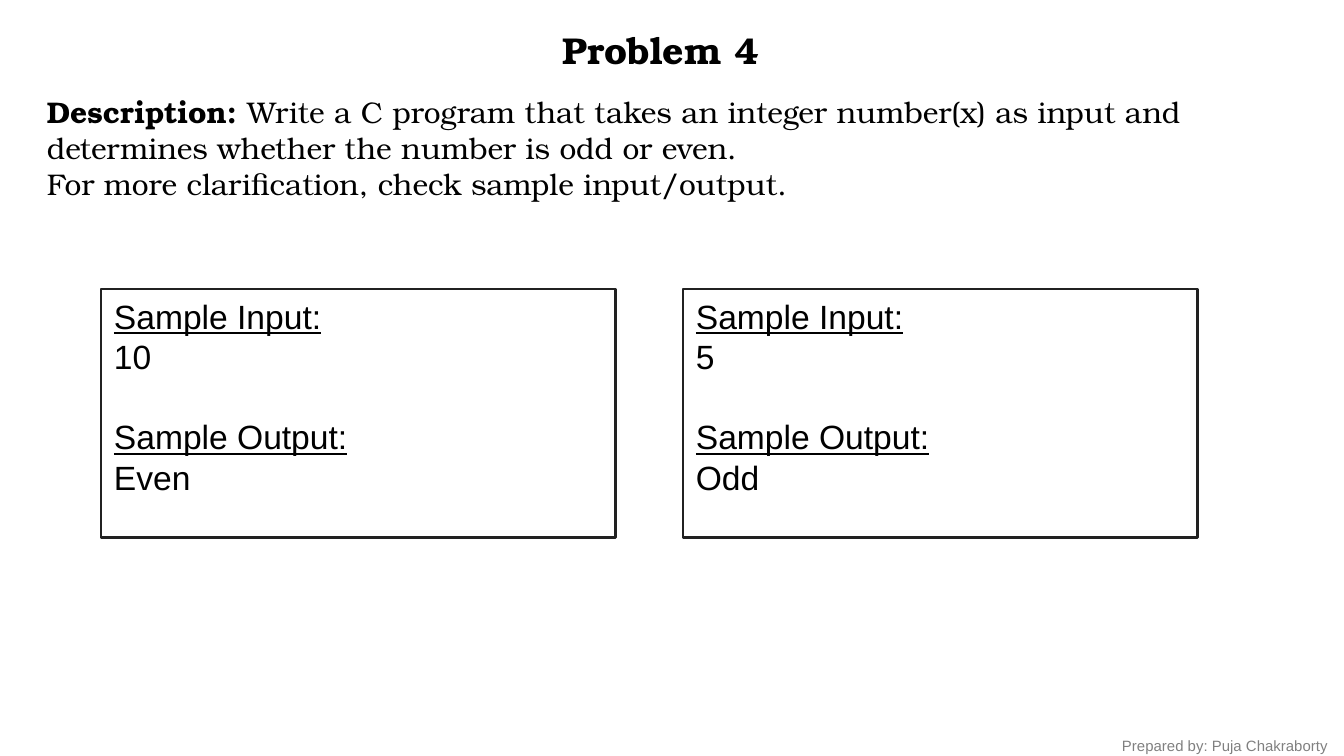
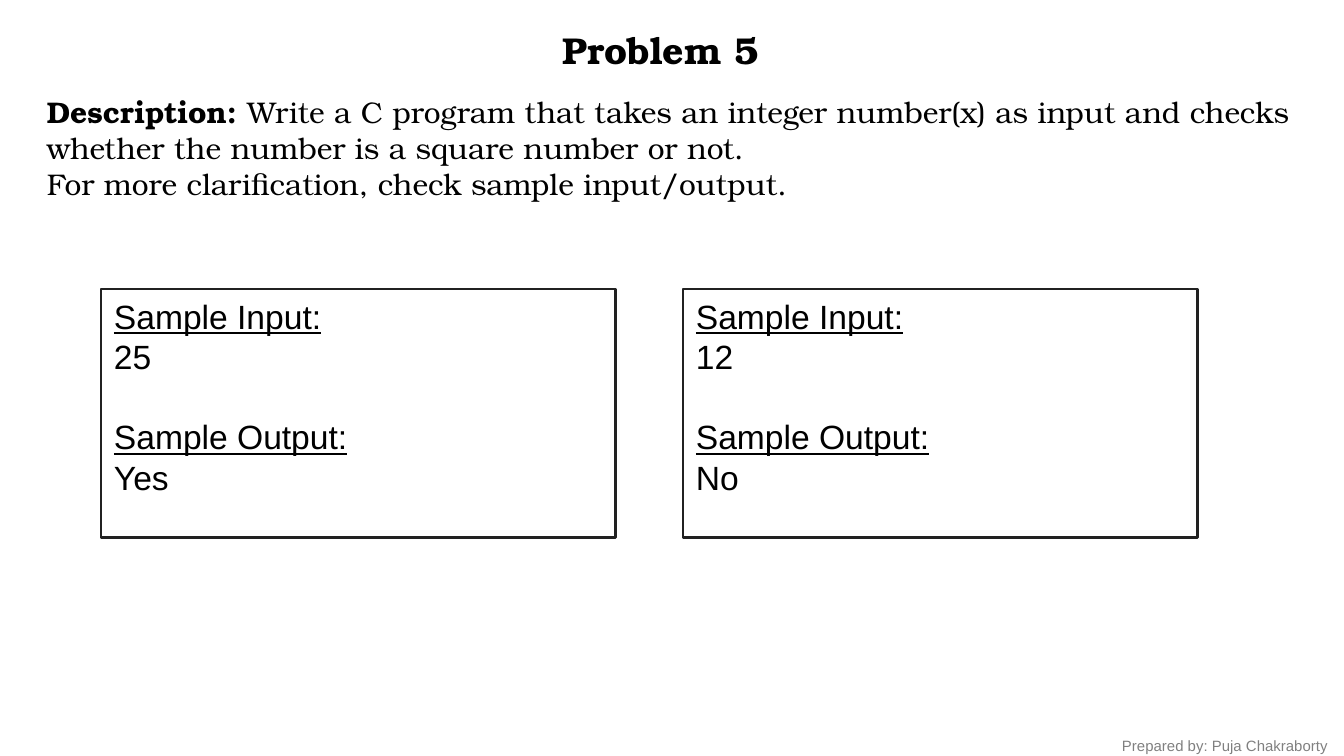
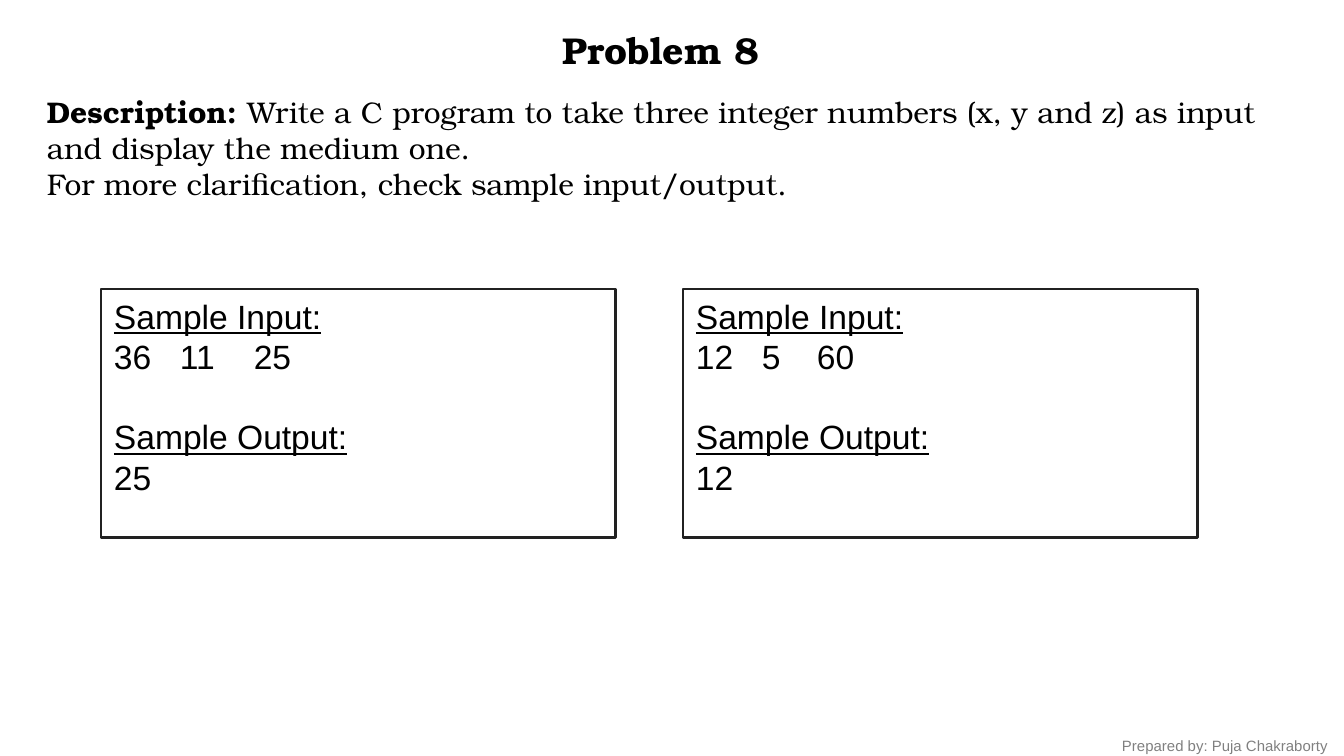
"""Build three C programming exercise slides with sample inputs and outputs."""
from lxml.etree import SubElement
from pptx import Presentation
from pptx.dml.color import RGBColor
from pptx.enum.shapes import MSO_SHAPE
from pptx.enum.text import MSO_ANCHOR, PP_ALIGN
from pptx.oxml.ns import qn
from pptx.util import Inches, Pt

PROBLEMS = [
    {"title": "Problem 4", "rows": 4,
     "task": "Write a C program that takes an integer number(x) as input and "
             "determines whether the number is odd or even.",
     "samples": [(["10"], "Even"), (["5"], "Odd")]},
    {"title": "Problem 5", "rows": 3,
     "task": "Write a C program that takes an integer number(x) as input and "
             "checks whether the number is a square number or not.",
     "samples": [(["25"], "Yes"), (["12"], "No")]},
    {"title": "Problem 8", "rows": 3,
     "task": "Write a C program to take three integer numbers (x, y and z) "
             "as input and display the medium one.",
     "samples": [(["36", "11", "25"], "25"), (["12", "5", "60"], "12")]},
]
HINT = "For more clarification, check sample input/output."
CREDIT = "Prepared by: Puja Chakraborty"

SERIF, SANS = "TeX Gyre Bonum", "Arial"
BLACK, GRAY, BORDER = "000000", "808080", "212121"
SLIDE_WIDTH = 10
SLIDE_HEIGHT = SLIDE_WIDTH * 9 / 16
TITLE_BOX = (2.17, 0.15, 5.5, 0.44)
CREDIT_BOX = (8.25, 5.43, 1.83, 0.24)
TASK_LEFT, TASK_TOP, TASK_WIDTH = 0.25, 0.65, 9.58
TASK_ROW, TASK_PADDING = 0.27, 0.1
SAMPLE_LEFT, SAMPLE_TOP, SAMPLE_WIDTH, SAMPLE_HEIGHT = 0.75, 2.15, 3.83, 1.85
SAMPLE_GAP = 0.5
SAMPLE_LINE = 21.5
NUMBER_GAPS = (0.21, 0.27)
DIGIT_WIDTH = 0.14


def color(hex_value):
    return RGBColor.from_string(hex_value)


def style(font, name, size, hex_value=BLACK, bold=False, underline=False):
    font.name, font.size = name, Pt(size)
    font.bold, font.underline = bold, underline
    font.color.rgb = color(hex_value)


def add_text_box(slide, box):
    frame = slide.shapes.add_textbox(*map(Inches, box)).text_frame
    frame.word_wrap = True
    return frame


def add_label(slide, box, text, *font_style, align=PP_ALIGN.LEFT, bold=False):
    paragraph = add_text_box(slide, box).paragraphs[0]
    paragraph.text, paragraph.alignment = text, align
    style(paragraph.font, *font_style, bold=bold)


def add_task(slide, task, rows):
    height = TASK_PADDING + rows * TASK_ROW
    frame = add_text_box(slide, (TASK_LEFT, TASK_TOP, TASK_WIDTH, height))
    description, hint = frame.paragraphs[0], frame.add_paragraph()
    for text, bold in (("Description: ", True), (task, False)):
        run = description.add_run()
        run.text = text
        style(run.font, SERIF, 16, bold=bold)
    hint.text = HINT
    style(hint.font, SERIF, 16)


def set_number_stops(paragraph, numbers):
    """Place a tab stop one gap after the end of each number."""
    properties = paragraph._p.get_or_add_pPr()
    stops = SubElement(properties, qn("a:tabLst"))
    position = 0
    for number, gap in zip(numbers, NUMBER_GAPS):
        position += len(number) * DIGIT_WIDTH + gap
        SubElement(stops, qn("a:tab"), pos=str(Inches(position)), algn="l")


def add_sample(slide, column, numbers, result):
    left = SAMPLE_LEFT + column * (SAMPLE_WIDTH + SAMPLE_GAP)
    box = (left, SAMPLE_TOP, SAMPLE_WIDTH, SAMPLE_HEIGHT)
    shape = slide.shapes.add_shape(MSO_SHAPE.RECTANGLE, *map(Inches, box))
    shape.shadow.inherit = False
    shape.fill.background()
    shape.line.color.rgb, shape.line.width = color(BORDER), Pt(1.25)
    frame = shape.text_frame
    frame.word_wrap, frame.vertical_anchor = True, MSO_ANCHOR.TOP
    lines = ["Sample Input:", "\t".join(numbers), "Sample Output:", result]
    for index, text in enumerate(lines):
        paragraph = frame.add_paragraph() if index else frame.paragraphs[0]
        paragraph.text, paragraph.alignment = text, PP_ALIGN.LEFT
        if index == 1 and len(numbers) > 1:
            set_number_stops(paragraph, numbers)
        if index == 2:
            paragraph.space_before = Pt(SAMPLE_LINE)
        style(paragraph.font, SANS, 18, underline=index % 2 == 0)


def add_problem(presentation, problem):
    slide = presentation.slides.add_slide(presentation.slide_layouts[6])
    add_label(slide, TITLE_BOX, problem["title"], SERIF, 20,
              align=PP_ALIGN.CENTER, bold=True)
    add_task(slide, problem["task"], problem["rows"])
    add_label(slide, CREDIT_BOX, CREDIT, SANS, 8, GRAY)
    for column, (numbers, result) in enumerate(problem["samples"]):
        add_sample(slide, column, numbers, result)


def main():
    presentation = Presentation()
    presentation.slide_width = Inches(SLIDE_WIDTH)
    presentation.slide_height = Inches(SLIDE_HEIGHT)
    for problem in PROBLEMS:
        add_problem(presentation, problem)
    presentation.save("out.pptx")


if __name__ == "__main__":
    main()
